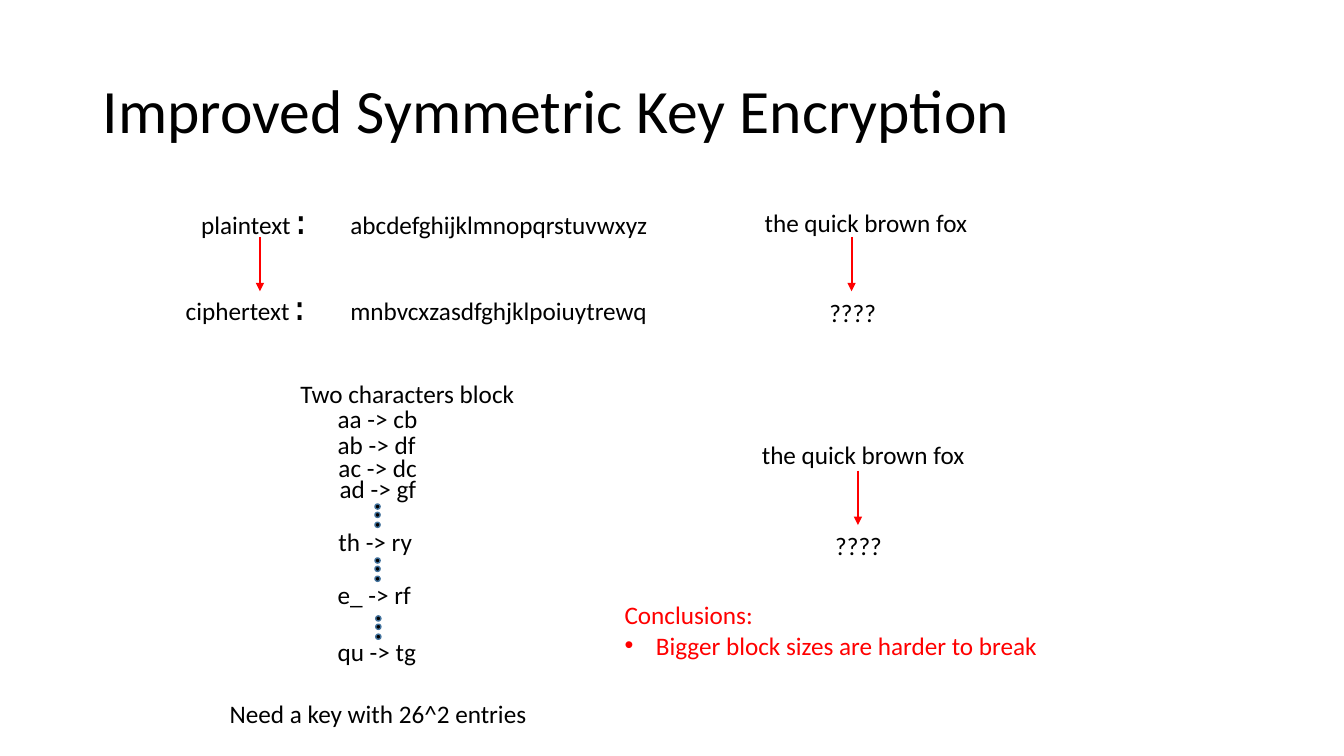
"""Build the slide on improved symmetric key encryption."""
import pptx
import pptx.util
import pptx.dml.color
import pptx.enum.shapes
import pptx.enum.text
import pptx.oxml.ns
import lxml.etree

Cm, Pt = pptx.util.Cm, pptx.util.Pt
COLORS = {"text": "000000", "accent": "FF0000", "dot_line": "43739E"}
COLORS = {name: pptx.dml.color.RGBColor.from_string(value) for name, value in COLORS.items()}
qn = pptx.oxml.ns.qn

deck = pptx.Presentation()
deck.slide_width, deck.slide_height = Cm(33.87), Cm(19.05)
slide = deck.slides.add_slide(deck.slide_layouts[6])


def style(font, color="text", size=18, name="Calibri"):
    font.name, font.size, font.color.rgb = name, Pt(size), COLORS[color]


def add_text(text, left, top, width, height=1.02, size=18, wrap=False):
    frame = slide.shapes.add_textbox(Cm(left), Cm(top), Cm(width), Cm(height)).text_frame
    frame.word_wrap = wrap
    frame.text = text
    style(frame.paragraphs[0].font, size=size)
    return frame


title = add_text("Improved Symmetric Key Encryption", 2.34, 1.02, 29.21, 3.68, 44, True)
title.vertical_anchor = pptx.enum.text.MSO_ANCHOR.MIDDLE
title.paragraphs[0].line_spacing = 0.9

alphabet_left = 8.83
for label, alphabet, left, top in [
    ("plaintext", "abcdefghijklmnopqrstuvwxyz", 4.82, 4.95),
    ("ciphertext", "mnbvcxzasdfghjklpoiuytrewq", 4.43, 7.11),
]:
    mapping = slide.shapes.add_textbox(Cm(left), Cm(top), Cm(12.5), Cm(1.27)).text_frame
    mapping.word_wrap = True
    line = mapping.paragraphs[0]
    tabs = lxml.etree.SubElement(line._p.get_or_add_pPr(), qn("a:tabLst"))
    lxml.etree.SubElement(tabs, qn("a:tab"), pos=str(Cm(alphabet_left - left - 0.25)), algn="l")
    for text, size, font_name in [
        (label, 18, "Calibri"), (":\t", 24, "Courier New"), (alphabet, 18, "Calibri"),
    ]:
        run = line.add_run()
        run.text = text
        style(run.font, size=size, name=font_name)

for text, left, top, width in [
    ("the quick brown fox", 19.02, 5.11, 5.69),
    ("????", 20.65, 7.37, 1.7),
    ("the quick brown fox", 18.95, 10.95, 5.69),
    ("????", 20.8, 13.23, 1.7),
    ("Two characters block", 7.32, 9.4, 5.97),
    ("aa -> cb", 8.26, 10.03, 2.54),
    ("ab -> df", 8.26, 10.69, 2.51),
    ("ac -> dc", 8.28, 11.28, 2.51),
    ("ad -> gf", 8.31, 11.81, 2.46),
    ("th -> ry", 8.28, 13.13, 2.39),
    ("e_ -> rf", 8.26, 14.48, 2.39),
    ("qu -> tg", 8.26, 15.9, 2.51),
    ("Need a key with 26^2 entries", 5.54, 17.48, 8.08),
]:
    add_text(text, left, top, width)

for x, top in [(6.55, 5.97), (21.46, 5.97), (21.62, 11.86)]:
    arrow = slide.shapes.add_connector(
        pptx.enum.shapes.MSO_CONNECTOR.STRAIGHT, Cm(x), Cm(top), Cm(x), Cm(top + 1.37))
    arrow.line.color.rgb = COLORS["accent"]
    arrow.line.width = Pt(1.5)
    lxml.etree.SubElement(arrow.line._get_or_add_ln(), qn("a:tailEnd"), type="triangle")
    lxml.etree.SubElement(arrow._element.spPr, qn("a:effectLst"))

for left, top in [(9.45, 12.7), (9.45, 14.06), (9.47, 15.52)]:
    for offset in (0, 0.21, 0.46):
        dot = slide.shapes.add_shape(
            pptx.enum.shapes.MSO_SHAPE.OVAL, Cm(left), Cm(top + offset), Cm(0.13), Cm(0.13))
        dot.shadow.inherit = False
        dot.fill.solid()
        dot.fill.fore_color.rgb = COLORS["text"]
        dot.line.color.rgb = COLORS["dot_line"]
        dot.line.width = Pt(1)

conclusions = add_text("Conclusions:", 15.49, 14.99, 18.11, 1.8, wrap=True)
style(conclusions.paragraphs[0].font, "accent")
finding = conclusions.add_paragraph()
finding.text = "Bigger block sizes are harder to break"
indent = finding._p.get_or_add_pPr()
indent.set("marL", str(Cm(0.79)))
indent.set("indent", str(Cm(-0.79)))
lxml.etree.SubElement(indent, qn("a:buFont"), typeface="Arial")
lxml.etree.SubElement(indent, qn("a:buChar"), char="•")
style(finding.font, "accent")

deck.save("out.pptx")
